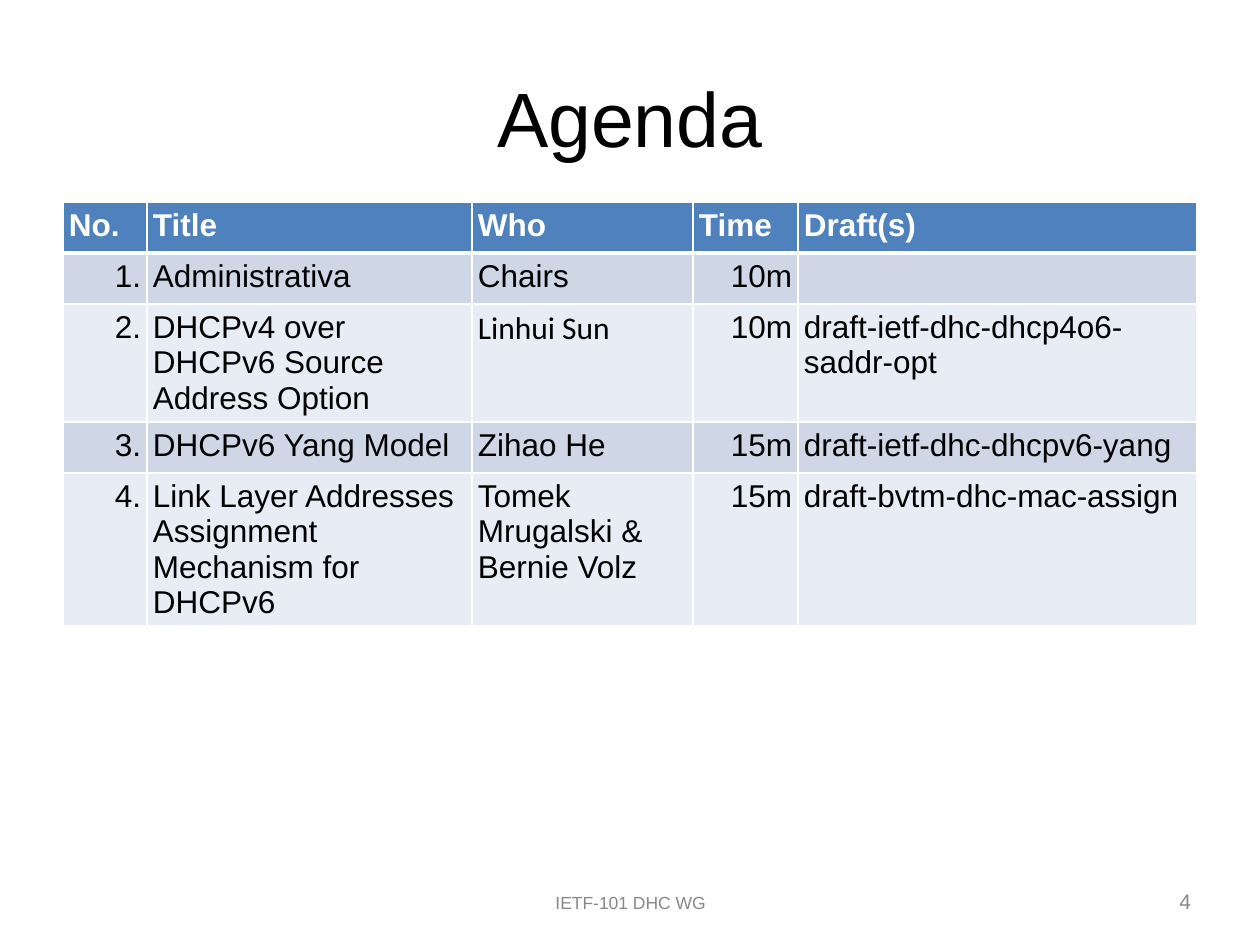
from dataclasses import dataclass
from typing import NamedTuple

from lxml.etree import SubElement
from pptx import Presentation
from pptx.dml.color import RGBColor
from pptx.enum.text import MSO_ANCHOR, PP_ALIGN
from pptx.oxml.ns import qn
from pptx.util import Pt

PX_PER_INCH = 126


@dataclass(frozen=True)
class Theme:
    ink: str = "000000"
    muted: str = "888888"
    white: str = "FFFFFF"
    header: str = "4F81BD"
    bands: tuple[str, str] = ("CFD7E7", "E8ECF4")
    font: str = "Arial"
    alternate_font: str = "Calibri"
    title_size: int = 44
    table_size: int = 18
    number_size: int = 12
    footer_size: int = 10
    inset: int = 6


class Box(NamedTuple):
    left: int
    top: int
    width: int
    height: int


class Column(NamedTuple):
    heading: str
    width: int
    align: PP_ALIGN = PP_ALIGN.LEFT


class Item(NamedTuple):
    title: str
    who: str
    time: str
    draft: str
    height: int
    who_font: str


THEME = Theme()
HEADER_HEIGHT = 51
COLUMNS = (
    Column("No.", 84, PP_ALIGN.RIGHT),
    Column("Title", 325),
    Column("Who", 221),
    Column("Time", 105, PP_ALIGN.RIGHT),
    Column("Draft(s)", 399),
)
ITEMS = (
    Item("Administrativa", "Chairs", "10m", "", 51, THEME.font),
    Item("DHCPv4 over DHCPv6 Source Address Option", "Linhui Sun", "10m",
         "draft-ietf-dhc-dhcp4o6-saddr-opt", 118, THEME.alternate_font),
    Item("DHCPv6 Yang Model", "Zihao He", "15m",
         "draft-ietf-dhc-dhcpv6-yang", 51, THEME.font),
    Item("Link Layer Addresses Assignment Mechanism for DHCPv6",
         "Tomek Mrugalski & Bernie Volz", "15m",
         "draft-bvtm-dhc-mac-assign", 153, THEME.font),
)


def px(length: int) -> int:
    return round(length * 914400 / PX_PER_INCH)


def apply_format(target, values: dict) -> None:
    for name, value in values.items():
        setattr(target, name, value)


def insets() -> dict:
    return {f"margin_{side}": px(THEME.inset)
            for side in ("left", "top", "right", "bottom")}


def write(frame, text: str, size: int, color: str, align: PP_ALIGN,
          font: str = THEME.font, bold: bool = False) -> None:
    paragraph = frame.paragraphs[0]
    paragraph.alignment = align
    if not text:
        paragraph.font.size = Pt(size)
        return
    run = paragraph.add_run()
    run.text = text
    apply_format(run.font, {"name": font, "size": Pt(size), "bold": bold})
    run.font.color.rgb = RGBColor.from_string(color)


def add_title(slide, text: str, box: Box) -> None:
    title = slide.shapes.title
    apply_format(title, {name: px(value) for name, value in box._asdict().items()})
    apply_format(title.text_frame, {
        **insets(), "word_wrap": True, "vertical_anchor": MSO_ANCHOR.MIDDLE})
    write(title.text_frame, text, THEME.title_size, THEME.ink, PP_ALIGN.CENTER)


def add_note(slide, text: str, box: Box, size: int, align: PP_ALIGN,
             wrap: bool) -> None:
    frame = slide.shapes.add_textbox(*map(px, box)).text_frame
    apply_format(frame, {
        **insets(), "word_wrap": wrap, "vertical_anchor": MSO_ANCHOR.MIDDLE})
    write(frame, text, size, THEME.muted, align)


def set_borders(cell, widths: dict[str, int]) -> None:
    """Draw white cell borders; widths are points keyed by L, R, T and B."""
    properties = cell._tc.get_or_add_tcPr()
    for position, (side, width) in enumerate(widths.items()):
        line = properties.makeelement(qn(f"a:ln{side}"), {"w": str(Pt(width))})
        fill = SubElement(line, qn("a:solidFill"))
        SubElement(fill, qn("a:srgbClr"), val=THEME.white)
        properties.insert(position, line)


def fill_cell(cell, text: str, fill: str, color: str, align: PP_ALIGN,
              font: str = THEME.font, bold: bool = False,
              top: int = 1, bottom: int = 1) -> None:
    apply_format(cell, insets())
    cell.fill.solid()
    cell.fill.fore_color.rgb = RGBColor.from_string(fill)
    write(cell.text_frame, text, THEME.table_size, color, align, font, bold)
    set_borders(cell, {"L": 1, "R": 1, "T": top, "B": bottom})


def add_agenda(slide, left: int, top: int) -> None:
    heights = [HEADER_HEIGHT, *(item.height for item in ITEMS)]
    box = Box(left, top, sum(column.width for column in COLUMNS), sum(heights))
    agenda = slide.shapes.add_table(
        len(heights), len(COLUMNS), *map(px, box)).table
    for row, height in zip(agenda.rows, heights):
        row.height = px(height)
    for index, column in enumerate(COLUMNS):
        agenda.columns[index].width = px(column.width)
        fill_cell(agenda.cell(0, index), column.heading, THEME.header,
                  THEME.white, PP_ALIGN.LEFT, bold=True, bottom=3)
    for number, item in enumerate(ITEMS, start=1):
        texts = (f"{number}.", item.title, item.who, item.time, item.draft)
        for index, (column, text) in enumerate(zip(COLUMNS, texts)):
            fill_cell(agenda.cell(number, index), text,
                      THEME.bands[(number - 1) % 2], THEME.ink, column.align,
                      item.who_font if column.heading == "Who" else THEME.font,
                      top=3 if number == 1 else 1)


def main() -> None:
    deck = Presentation()
    apply_format(deck, {"slide_width": px(1260), "slide_height": px(945)})
    slide = deck.slides.add_slide(deck.slide_layouts.get_by_name("Title Only"))
    add_title(slide, "Agenda", Box(63, 38, 1134, 158))
    add_agenda(slide, 63, 202)
    add_note(slide, "IETF-101 DHC WG", Box(431, 886, 399, 32),
             THEME.footer_size, PP_ALIGN.CENTER, wrap=True)
    add_note(slide, "4", Box(1171, 883, 26, 37),
             THEME.number_size, PP_ALIGN.RIGHT, wrap=False)
    deck.save("out.pptx")


if __name__ == "__main__":
    main()
